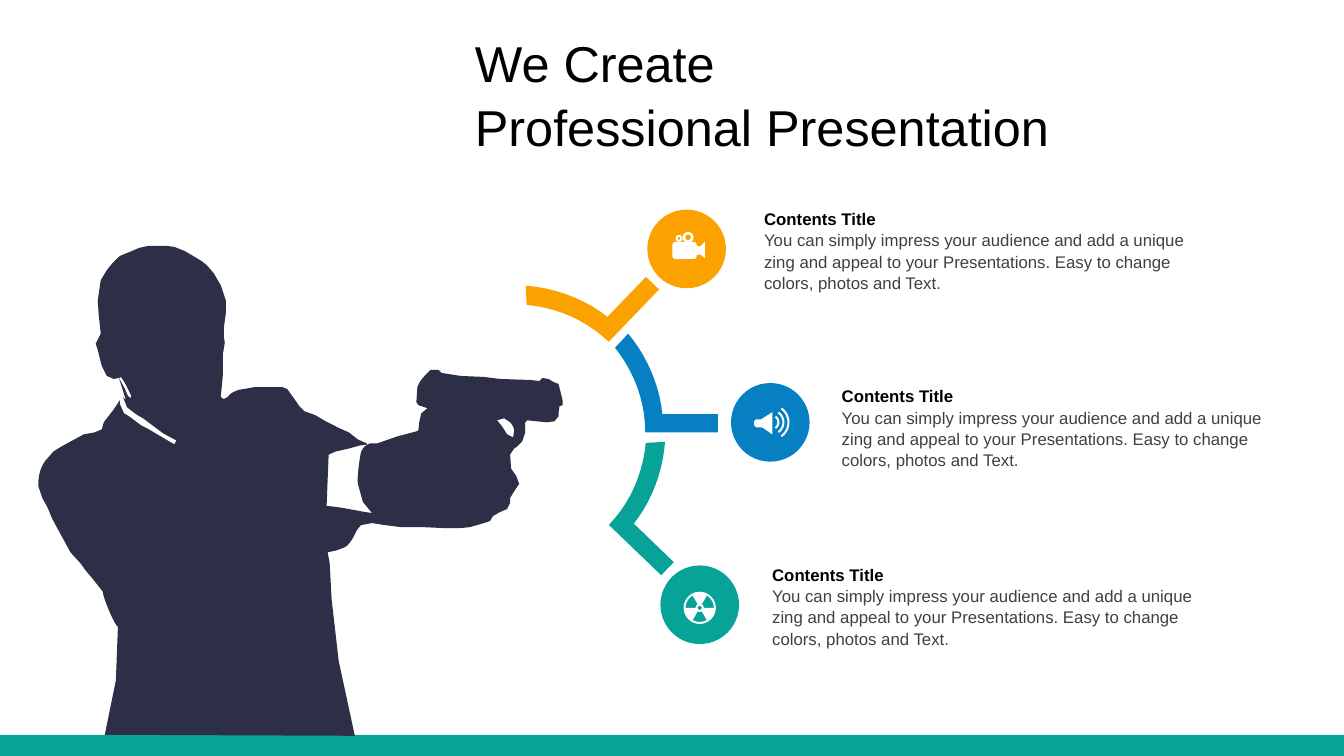
from math import cos, radians, sin

from pptx import Presentation
from pptx.dml.color import RGBColor
from pptx.enum.shapes import MSO_SHAPE
from pptx.enum.text import MSO_ANCHOR, MSO_AUTO_SIZE, PP_ALIGN
from pptx.util import Inches, Pt

TEAL = RGBColor(0x07, 0xA3, 0x98)
BLUE = RGBColor(0x06, 0x80, 0xC3)
ORANGE = RGBColor(0xFB, 0xA2, 0x00)
NAVY = RGBColor(0x2C, 0x2F, 0x45)
GRAY = RGBColor(0x40, 0x40, 0x40)
BLACK = RGBColor(0, 0, 0)
WHITE = RGBColor(0xFF, 0xFF, 0xFF)
FONT = "Arial"
LINE_SPACING = 1.06

# Content
HEADLINE = ["We Create", "Professional Presentation"]
HEADING = "Contents Title"
DESCRIPTION = ("You can simply impress your audience and add a unique zing and appeal "
               "to your Presentations. Easy to change colors, photos and Text.")
# colour, arm position, arm rotation, disc position, text position
BRANCHES = [
    (ORANGE, (5.32, 2.41), 313.9, (6.42, 2.08), (7.48, 2.01)),
    (BLUE, (6.1, 3.31), 0, (7.25, 3.8), (8.25, 3.77)),
    (TEAL, (6.02, 4.51), 43.9, (6.55, 5.61), (7.56, 5.54)),
]
DISC_SIZE = 0.78

# Outlines in inches: a pair is a corner, six numbers are a Bezier curve
ARM = [(7.12, 4.11), (7.12, 4.29), (6.4, 4.29), (6.4, 3.98, 6.29, 3.69, 6.1, 3.45),
       (6.23, 3.31), (6.42, 3.54, 6.54, 3.82, 6.57, 4.11)]
CAMERA_LENS = [(6.9, 2.44), (6.93, 2.44), (6.94, 2.45), (6.99, 2.4), (6.99, 2.56),
               (6.94, 2.52), (6.93, 2.53), (6.9, 2.53)]
LOUDSPEAKER = [(7.66, 4.09), (7.66, 4.31), (7.56, 4.24), (7.5, 4.24), (7.48, 4.22),
               (7.48, 4.18), (7.5, 4.16), (7.55, 4.16)]
SLEEVE_CUFF = [
    (3.64, 4.41), (3.57, 4.42), (3.46, 4.45), (3.33, 4.48), (3.26, 4.51), (3.24, 5.02),
    (3.39, 5.03, 3.54, 5.07, 3.69, 5.09), (3.6, 4.98), (3.55, 4.8),
    (3.54, 4.74, 3.57, 4.53, 3.58, 4.49), (3.6, 4.44, 3.62, 4.42, 3.67, 4.4),
    (3.74, 4.4), (3.94, 4.33), (4.13, 4.28), (4.15, 4.27)]
PISTOL = [
    (4.16, 4.18), (4.18, 4.1), (4.24, 4.05), (4.15, 4.02), (4.13, 3.99), (4.14, 3.84),
    (4.17, 3.78), (4.22, 3.72), (4.27, 3.67), (4.35, 3.67), (4.38, 3.7), (4.57, 3.73),
    (4.8, 3.74), (4.96, 3.76), (5.26, 3.77), (5.35, 3.78), (5.38, 3.75), (5.44, 3.76),
    (5.49, 3.79), (5.54, 3.81), (5.58, 3.97), (5.58, 4.02), (5.55, 4.03), (5.54, 4.1),
    (5.54, 4.13), (5.5, 4.18), (5.42, 4.19), (5.23, 4.17), (5.21, 4.19), (5.21, 4.29),
    (5.18, 4.38), (5.13, 4.43)]
HAND = [
    (5.1, 4.45), (5.06, 4.51), (5.07, 4.65), (5.12, 4.72), (5.15, 4.8), (5.11, 4.86),
    (5.06, 4.94), (5.06, 4.99), (5.03, 5.05), (4.96, 5.08), (4.89, 5.12), (4.86, 5.17),
    (4.8, 5.19), (4.66, 5.23), (4.56, 5.24), (4.41, 5.24), (4.2, 5.23), (3.98, 5.23),
    (3.82, 5.21), (3.69, 5.19), (3.58, 5.21)]
JACKET = [
    (3.54, 5.26), (3.51, 5.32, 3.48, 5.39, 3.42, 5.43), (3.34, 5.46), (3.25, 5.48),
    (3.27, 5.58), (3.29, 5.95), (3.36, 6.56), (3.52, 7.3), (1.04, 7.29), (1.15, 6.75),
    (1.17, 6.22), (1.13, 6.19, 1.02, 5.92, 1.02, 5.87), (0.91, 5.73), (0.85, 5.66),
    (0.8, 5.59), (0.7, 5.48), (0.52, 5.15), (0.47, 5.03), (0.42, 4.94), (0.38, 4.82),
    (0.38, 4.72, 0.4, 4.63, 0.46, 4.56), (0.53, 4.48), (0.61, 4.43), (0.83, 4.31),
    (0.94, 4.29), (1.01, 4.26), (1.03, 4.19), (1.13, 4.06), (1.19, 3.97)]
COLLAR = [
    (1.19, 4.01), (1.23, 4.1), (1.28, 4.13), (1.4, 4.22), (1.46, 4.25), (1.63, 4.35),
    (1.73, 4.41), (1.75, 4.37), (1.62, 4.3), (1.42, 4.15),
    (1.36, 4.12, 1.31, 4.08, 1.26, 4.04), (1.22, 3.94), (1.25, 3.97)]
HEAD = [
    (1.18, 3.75), (1.13, 3.76), (1.06, 3.73), (1.01, 3.63), (0.97, 3.47), (0.95, 3.41),
    (0.99, 3.33), (1.0, 3.31), (0.98, 3.13), (0.97, 2.98), (1.0, 2.78), (1.06, 2.68),
    (1.1, 2.63, 1.14, 2.58, 1.19, 2.54), (1.31, 2.49), (1.38, 2.46), (1.47, 2.44),
    (1.55, 2.44), (1.66, 2.44), (1.73, 2.45), (1.83, 2.49), (1.9, 2.53), (2.0, 2.59),
    (2.05, 2.63), (2.12, 2.71), (2.19, 2.83), (2.24, 2.98), (2.24, 3.11), (2.22, 3.26),
    (2.22, 3.34), (2.23, 3.4), (2.21, 3.52), (2.21, 3.73), (2.19, 3.94), (2.22, 3.96)]
SHOULDER = [
    (2.26, 3.94), (2.28, 3.9, 2.32, 3.89, 2.36, 3.87), (2.53, 3.84), (2.8, 3.84),
    (2.85, 3.86), (2.9, 3.93), (2.97, 4.03), (3.02, 4.08), (3.13, 4.12), (3.23, 4.18),
    (3.37, 4.25), (3.46, 4.29), (3.55, 4.36), (3.64, 4.4)]
TRIGGER_GAP = [
    (5.09, 4.34), (5.1, 4.28), (5.1, 4.24, 5.08, 4.21, 5.06, 4.19), (5.0, 4.15),
    (4.93, 4.17), (4.98, 4.23), (5.03, 4.31)]
NECK_GAP = [
    (1.3, 3.95), (1.3, 3.92), (1.24, 3.8), (1.2, 3.74), (1.18, 3.75), (1.24, 3.86),
    (1.27, 3.93), (1.31, 3.96)]
MAN = SLEEVE_CUFF + PISTOL + HAND + JACKET + COLLAR + HEAD + SHOULDER

presentation = Presentation()
presentation.slide_width = Inches(13.33)
presentation.slide_height = Inches(7.5)
slide = presentation.slides.add_slide(presentation.slide_layouts[5])
shapes = slide.shapes


def paint(shape, color):
    shape.shadow.inherit = False
    shape.fill.solid()
    shape.fill.fore_color.rgb = color
    shape.line.fill.background()
    return shape


def add_preset(kind, left, top, width, height, color):
    box = [Inches(v) for v in (left, top, width, height)]
    return paint(shapes.add_shape(kind, *box), color)


def flatten(outline, steps=10):
    """Turn corners and Bezier curves into points in EMU."""
    points = []
    for node in outline:
        if len(node) == 2:
            points.append(node)
            continue
        start, nodes = points[-1], (node[:2], node[2:4], node[4:])
        for step in range(1, steps + 1):
            t = step / steps
            weights = ((1 - t) ** 3, 3 * t * (1 - t) ** 2, 3 * t * t * (1 - t), t ** 3)
            points.append(tuple(sum(w * p[axis] for w, p in zip(weights, (start, *nodes)))
                                for axis in (0, 1)))
    return [(Inches(x), Inches(y)) for x, y in points]


def add_outline(color, *contours):
    first, *others = [flatten(contour) for contour in contours]
    builder = shapes.build_freeform(*first[0])
    builder.add_line_segments(first[1:])
    for contour in others:
        builder.move_to(*contour[0])
        builder.add_line_segments(contour[1:])
    return paint(builder.convert_to_shape(), color)


def arc(center, radius, start, end, steps=24):
    angles = [radians(start + (end - start) * i / steps) for i in range(steps + 1)]
    return [(center[0] + radius * cos(a), center[1] + radius * sin(a)) for a in angles]


def band(center, inner, outer, start, end):
    return arc(center, outer, start, end) + arc(center, inner, end, start)


def write(frame, lines, size, color, bold=False):
    frame.word_wrap = True
    frame.auto_size = MSO_AUTO_SIZE.NONE
    frame.vertical_anchor = MSO_ANCHOR.TOP
    for index, line in enumerate(lines):
        paragraph = frame.add_paragraph() if index else frame.paragraphs[0]
        paragraph.alignment = PP_ALIGN.LEFT
        paragraph.line_spacing = LINE_SPACING
        run = paragraph.add_run()
        run.text = line
        run.font.name, run.font.size, run.font.bold = FONT, Pt(size), bold
        run.font.color.rgb = color


# Headline
headline = shapes.title
headline.left, headline.top = Inches(4.66), Inches(0.28)
headline.width, headline.height = Inches(5.82), Inches(1.21)
frame = headline.text_frame
frame.margin_left, frame.margin_right = Inches(0.05), Inches(0.03)
frame.margin_top = frame.margin_bottom = 0
write(frame, HEADLINE, 36, BLACK)

# Ground and man
add_preset(MSO_SHAPE.RECTANGLE, 0, 7.29, 13.33, 0.21, TEAL)
add_outline(NAVY, MAN, TRIGGER_GAP, NECK_GAP)

# Branches: one arm turned three ways, a disc and two texts
for color, arm_at, turn, disc_at, (text_left, text_top) in BRANCHES:
    arm = add_outline(color, ARM)
    arm.left, arm.top = [Inches(v) for v in arm_at]
    arm.rotation = turn
    add_preset(MSO_SHAPE.OVAL, *disc_at, DISC_SIZE, DISC_SIZE, color)
    for text, offset, height, ink, bold in ((DESCRIPTION, 0.21, 0.71, GRAY, False),
                                            (HEADING, 0, 0.3, BLACK, True)):
        box = shapes.add_textbox(Inches(text_left), Inches(text_top + offset),
                                 Inches(4.61), Inches(height))
        write(box.text_frame, [text], 12, ink, bold)

# Camera icon
add_preset(MSO_SHAPE.ROUNDED_RECTANGLE, 6.67, 2.4, 0.24, 0.17, WHITE)
add_outline(WHITE, CAMERA_LENS)
for left, top, size, thickness in ((6.77, 2.3, 0.11, 0.24), (6.7, 2.33, 0.07, 0.3)):
    reel = add_preset(MSO_SHAPE.DONUT, left, top, size, size, WHITE)
    reel.adjustments[0] = thickness

# Loudspeaker icon
waves = [band((7.65, 4.19), r, r + 0.02, -54, 54) for r in (0.06, 0.11, 0.16)]
add_outline(WHITE, LOUDSPEAKER, *waves)

# Radiation icon
core = (6.94, 6.03)
blades = [band(core, 0.04, 0.14, start, start + 60) for start in (60, 180, 300)]
add_outline(WHITE, arc(core, 0.16, 0, 360), arc(core, 0.02, 0, 360), *blades)

presentation.save("out.pptx")
